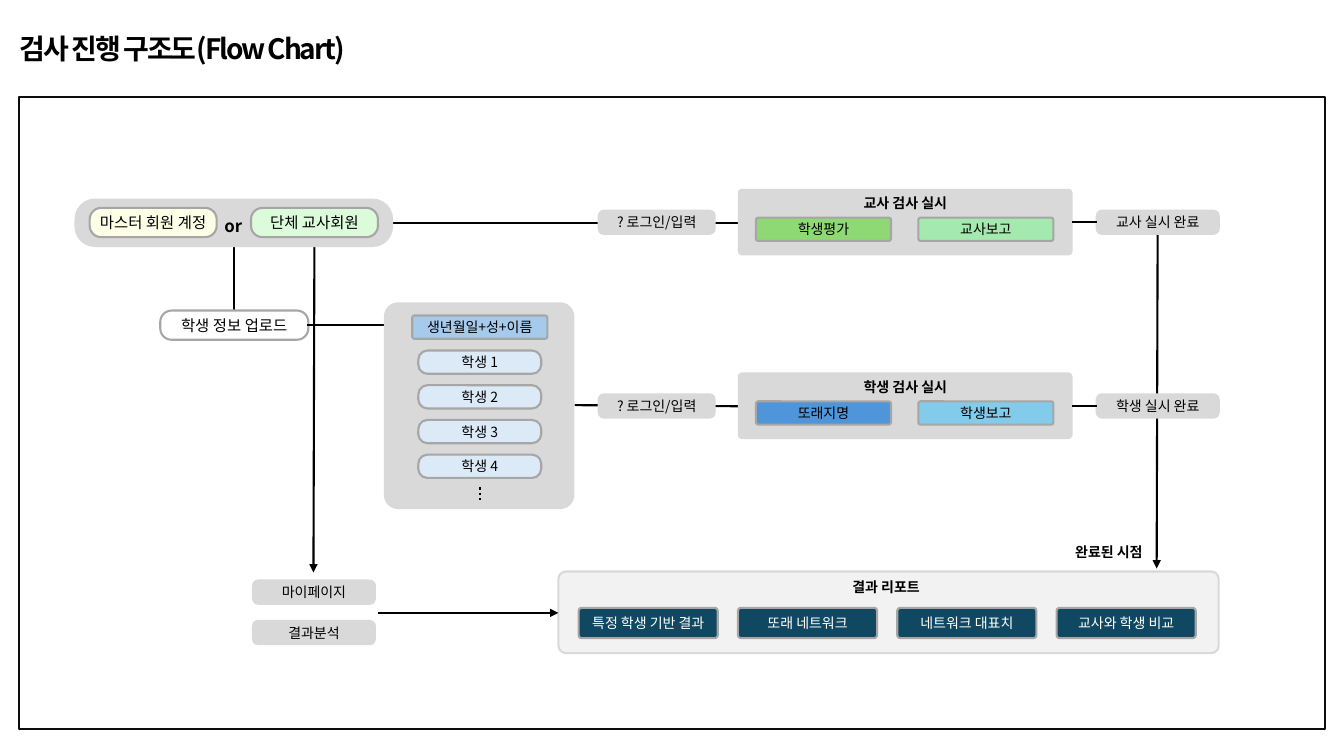
from lxml.etree import SubElement
from pptx import Presentation
from pptx.dml.color import RGBColor
from pptx.enum.dml import MSO_LINE
from pptx.enum.shapes import MSO_CONNECTOR, MSO_SHAPE
from pptx.enum.text import MSO_ANCHOR, MSO_AUTO_SIZE, PP_ALIGN
from pptx.oxml.ns import qn
from pptx.util import Pt

COLORS = {
    "black": "000000", "white": "FFFFFF", "frame": "0D0D0D",
    "panel": "D9D9D9", "edge": "A6A6A6", "report": "F2F2F2",
    "navy": "104862", "cream": "FDFFE7", "mint": "DBFBDA",
    "pale": "DCEAF7", "key": "A6CAEC", "leaf": "8ED973",
    "spring": "A4EAAE", "blue": "4E95D9", "sky": "83CBEB",
}


class FlowChart:
    font_name = "Noto Sans CJK KR"
    line_width = Pt(1.5)
    tight = {"margin_left": 0, "margin_top": 0, "margin_right": 0, "margin_bottom": 0}

    def __init__(self, slide):
        self.slide = slide

    def color(self, name):
        return RGBColor.from_string(COLORS[name])

    def put_text(self, frame, text, size, color="black", bold=False,
                 align=PP_ALIGN.CENTER, spacing=None, tracking=None, **layout):
        for name, value in layout.items():
            setattr(frame, name, value)
        paragraph = frame.paragraphs[0]
        for name, value in {"alignment": align, "line_spacing": spacing}.items():
            setattr(paragraph, name, value)
        run = paragraph.add_run()
        run.text = text
        formats = {"name": self.font_name, "size": Pt(size), "bold": bold}
        for name, value in formats.items():
            setattr(run.font, name, value)
        run.font.color.rgb = self.color(color)
        properties = run._r.get_or_add_rPr()
        SubElement(properties, qn("a:ea")).set("typeface", self.font_name)
        if tracking:
            properties.set("spc", str(tracking))

    def label(self, box, text, size, **formats):
        area = self.slide.shapes.add_textbox(*map(Pt, box))
        self.put_text(area.text_frame, text, size, **{"word_wrap": True, **formats})

    def heading(self, box, text):
        self.label(box, text, 10, bold=True, vertical_anchor=MSO_ANCHOR.MIDDLE, **self.tight)

    def box(self, box, fill=None, line="panel", radius=None, text=None, size=10, color="black"):
        kind = MSO_SHAPE.RECTANGLE if radius is None else MSO_SHAPE.ROUNDED_RECTANGLE
        shape = self.slide.shapes.add_shape(kind, *map(Pt, box))
        shape.shadow.inherit = False
        if radius is not None:
            shape.adjustments[0] = radius
        if fill:
            shape.fill.solid()
            shape.fill.fore_color.rgb = self.color(fill)
        else:
            shape.fill.background()
        shape.line.color.rgb = self.color(line)
        shape.line.width = self.line_width
        if text:
            self.put_text(shape.text_frame, text, size, color, word_wrap=True,
                          vertical_anchor=MSO_ANCHOR.MIDDLE, **self.tight)

    def card(self, box, fill, text, color="black"):
        self.box(box, fill, "edge", 0.1, text, color=color)

    def pill(self, box, fill, text, size=11):
        self.box(box, fill, "edge", 0.39, text, size)

    def step(self, left, top, width, text):
        self.box((left, top, width, 16.6), "panel", radius=0.23, text=text)

    def line(self, *ends, arrow=False, dotted=False):
        connector = self.slide.shapes.add_connector(MSO_CONNECTOR.STRAIGHT, *map(Pt, ends))
        connector.line.color.rgb = self.color("black")
        connector.line.width = Pt(2) if dotted else self.line_width
        if dotted:
            connector.line.dash_style = MSO_LINE.ROUND_DOT
        properties = connector._element.spPr
        if arrow:
            SubElement(properties.find(qn("a:ln")), qn("a:tailEnd")).set("type", "triangle")
        SubElement(properties, qn("a:effectLst"))


def draw_accounts(chart):
    chart.line(167, 175.7, 167, 221.8)
    chart.box((54, 142.6, 226.1, 33.1), "panel", radius=0.42)
    chart.pill((64.1, 148.5, 90.7, 20.9), "cream", "마스터 회원 계정")
    chart.pill((179.3, 148.5, 90.7, 20.9), "mint", "단체 교사회원")
    chart.label((147.6, 150.5, 38.2, 16.6), "or", 12, bold=True,
                auto_size=MSO_AUTO_SIZE.SHAPE_TO_FIT_TEXT)
    chart.pill((114.5, 221.8, 105.8, 20.9), "white", "학생 정보 업로드")
    chart.line(219.6, 232, 275, 232)


def draw_students(chart):
    chart.box((275, 216.7, 134.6, 146.2), "panel", radius=0.07)
    chart.card((294.5, 225.4, 96.5, 16.6), "key", "생년월일+성+이름")
    for number in range(1, 5):
        top = 250.4 + 24.8 * (number - 1)
        chart.pill((298.8, top, 87.8, 16.6), "pale", f"학생 {number}", 10)
    chart.line(342.9, 347.8, 342.9, 357.1, dotted=True)


def draw_test(chart, shift, title, tests, done):
    chart.box((527.8, 135.6 + shift, 237.6, 46.1), "panel", radius=0.05)
    chart.heading((607.7, 136.8 + shift, 77.8, 16.6), title)
    for column, (text, fill) in enumerate(tests):
        chart.card((540 + 116 * column, 155.5 + shift, 96.5, 16.6), fill, text)
    chart.step(427.7, 150.5 + shift, 82.8, "? 로그인/입력")
    chart.step(783.4, 150.5 + shift, 87.1, done)
    chart.line(765.4, 158.8 + shift, 783.4, 158.8 + shift)


def draw_report(chart, results):
    chart.box((398.9, 408.2, 471.6, 58.3), "report", radius=0.09)
    chart.heading((593.3, 408.2, 79.2, 21.6), "결과 리포트")
    for column, text in enumerate(results):
        chart.card((413.3 + 113.8 * column, 434.2, 99.4, 21.6), "navy", text, "white")
    chart.heading((753.1, 385.9, 77.8, 16.6), "완료된 시점")
    for row, text in enumerate(["마이페이지", "결과분석"]):
        chart.step(180.7, 414.7 + 28.8 * row, 87.1, text)
    chart.line(270, 437.8, 398.9, 437.8, arrow=True)


def main():
    deck = Presentation()
    deck.slide_width, deck.slide_height = Pt(960), Pt(540)
    chart = FlowChart(deck.slides.add_slide(deck.slide_layouts[6]))

    chart.label((7.2, 20.9, 475.2, 29.5), "검사 진행 구조도(Flow Chart)", 20, bold=True,
                align=PP_ALIGN.LEFT, spacing=0.9, tracking=-150,
                vertical_anchor=MSO_ANCHOR.BOTTOM)
    chart.box((13.7, 69.1, 933.1, 451.4), line="frame")

    chart.line(224.6, 169.9, 223.9, 409, arrow=True)
    chart.line(826.9, 167, 826.2, 406.1, arrow=True)
    chart.line(280.1, 159.1, 540, 159.1)
    chart.line(410.4, 289.4, 527.8, 290.2)

    draw_accounts(chart)
    draw_students(chart)
    draw_test(chart, 0, "교사 검사 실시",
              [("학생평가", "leaf"), ("교사보고", "spring")], "교사 실시 완료")
    draw_test(chart, 131.2, "학생 검사 실시",
              [("또래지명", "blue"), ("학생보고", "sky")], "학생 실시 완료")
    draw_report(chart, ["특정 학생 기반 결과", "또래 네트워크", "네트워크 대표치", "교사와 학생 비교"])
    deck.save("out.pptx")


if __name__ == "__main__":
    main()
